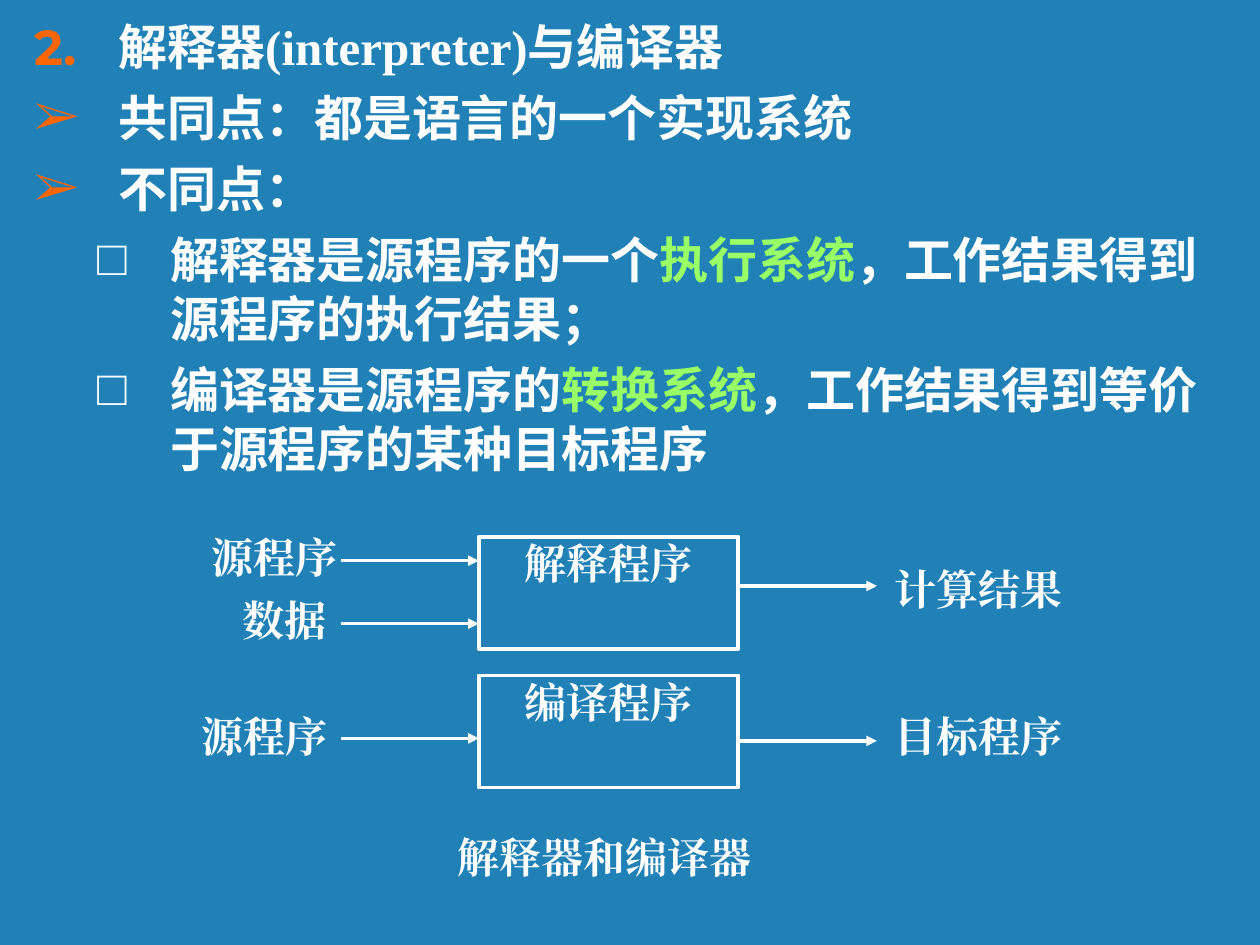
"""Build a slide comparing interpreters with compilers."""
from dataclasses import dataclass

from lxml.etree import SubElement
from pptx import Presentation
from pptx.dml.color import RGBColor
from pptx.enum.shapes import MSO_CONNECTOR, MSO_SHAPE
from pptx.enum.text import MSO_ANCHOR, MSO_AUTO_SIZE, PP_ALIGN
from pptx.oxml.ns import qn
from pptx.util import Inches, Pt


@dataclass(frozen=True)
class Theme:
    background: RGBColor = RGBColor(0x21, 0x81, 0xB7)
    text: RGBColor = RGBColor(0xFF, 0xFF, 0xFF)
    highlight: RGBColor = RGBColor(0x99, 0xFF, 0x66)
    marker: RGBColor = RGBColor(0xFF, 0x66, 0x00)
    list_size: Pt = Pt(28)
    label_size: Pt = Pt(24)
    line_width: Pt = Pt(2)
    list_font: str = "Montserrat"
    label_font: str = "Times New Roman"


theme = Theme()


def style_span(span, size, name, color):
    span.font.size = size
    span.font.bold = True
    span.font.name = name
    span.font.color.rgb = color
    SubElement(span.font._element, qn("a:ea"), typeface=name)


def write_label(box, text, alignment, inset_x, inset_y):
    frame = box.text_frame
    frame.text = text
    frame.word_wrap = True
    frame.vertical_anchor = MSO_ANCHOR.TOP
    frame.margin_left = frame.margin_right = Inches(inset_x)
    frame.margin_top = frame.margin_bottom = Inches(inset_y)
    para = frame.paragraphs[0]
    para.alignment = alignment
    style_span(para.runs[0], theme.label_size, theme.label_font, theme.text)


deck = Presentation()
deck.slide_width, deck.slide_height = Inches(10), Inches(7.5)
page = deck.slides.add_slide(deck.slide_layouts[1])
page.background.fill.solid()
page.background.fill.fore_color.rgb = theme.background
title = page.shapes.title
title._element.getparent().remove(title._element)

body = page.placeholders[1]
body.left, body.top = Inches(0.17), Inches(0.08)
body.width, body.height = Inches(9.58), Inches(3.83)
frame = body.text_frame
frame.auto_size = MSO_AUTO_SIZE.NONE
frame.vertical_anchor = MSO_ANCHOR.TOP

plain = (theme.list_font, theme.text)
latin = (theme.label_font, theme.text)
accent = (theme.list_font, theme.highlight)
points = [
    (0, "2.", [("解释器", plain), ("(interpreter)", latin), ("与编译器", plain)]),
    (0, "➢", [("共同点：都是语言的一个实现系统", plain)]),
    (0, "➢", [("不同点：", plain)]),
    (1, "□", [("解释器是源程序的一个", plain), ("执行系统", accent),
              ("，工作结果得到源程序的执行结果；", plain)]),
    (1, "□", [("编译器是源程序的", plain), ("转换系统", accent),
              ("，工作结果得到等价于源程序的某种目标程序", plain)]),
]
indents = [(0.67, -0.67), (1.08, -0.58)]
marker_colors = [theme.marker, theme.text]
for index, (level, marker, pieces) in enumerate(points):
    para = frame.paragraphs[0] if index == 0 else frame.add_paragraph()
    para.level = level
    para.alignment = PP_ALIGN.LEFT
    para.space_before = Pt(7 if index else 0)
    properties = para._p.get_or_add_pPr()
    margin, hanging = indents[level]
    properties.set("marL", str(Inches(margin)))
    properties.set("indent", str(Inches(hanging)))
    bullet_color = SubElement(properties, qn("a:buClr"))
    SubElement(bullet_color, qn("a:srgbClr"), val=str(marker_colors[level]))
    if marker == "2.":
        SubElement(properties, qn("a:buFont"), typeface=theme.list_font)
        SubElement(properties, qn("a:buAutoNum"), type="arabicPeriod", startAt="2")
    else:
        SubElement(properties, qn("a:buFont"), typeface=theme.label_font)
        SubElement(properties, qn("a:buChar"), char=marker)
    for text, (name, color) in pieces:
        span = para.add_run()
        span.text = text
        style_span(span, theme.list_size, name, color)

for text, top in [("解释程序", 4.26), ("编译程序", 5.36)]:
    box = page.shapes.add_shape(
        MSO_SHAPE.RECTANGLE, Inches(3.8), Inches(top), Inches(2.06), Inches(0.89))
    box.shadow.inherit = False
    box.fill.background()
    box.line.color.rgb = theme.text
    box.line.width = theme.line_width
    write_label(box, text, PP_ALIGN.CENTER, 0.01, 0.01)

arrows = [(2.71, 3.8, 4.45), (2.71, 3.8, 4.95), (2.71, 3.8, 5.86),
          (5.86, 6.96, 4.65), (5.86, 6.96, 5.88)]
for start, end, height in arrows:
    arrow = page.shapes.add_connector(
        MSO_CONNECTOR.STRAIGHT, Inches(start), Inches(height), Inches(end), Inches(height))
    arrow.line.color.rgb = theme.text
    arrow.line.width = theme.line_width
    SubElement(arrow.line._get_or_add_ln(), qn("a:tailEnd"), type="triangle")
    SubElement(arrow._element.spPr, qn("a:effectLst"))

labels = [("源程序", 1.58, 4.17, 1.42), ("数据", 1.83, 4.67, 0.92),
          ("源程序", 1.5, 5.59, 1.42), ("计算结果", 7, 4.42, 1.67),
          ("目标程序", 7, 5.59, 1.67)]
for text, left, top, width in labels:
    label = page.shapes.add_textbox(Inches(left), Inches(top), Inches(width), Inches(0.5))
    write_label(label, text, PP_ALIGN.LEFT, 0.1, 0.05)

caption = page.shapes.add_textbox(Inches(3.62), Inches(6.59), Inches(2.88), Inches(0.49))
write_label(caption, "解释器和编译器", PP_ALIGN.JUSTIFY, 0.01, 0.01)

deck.save("out.pptx")
